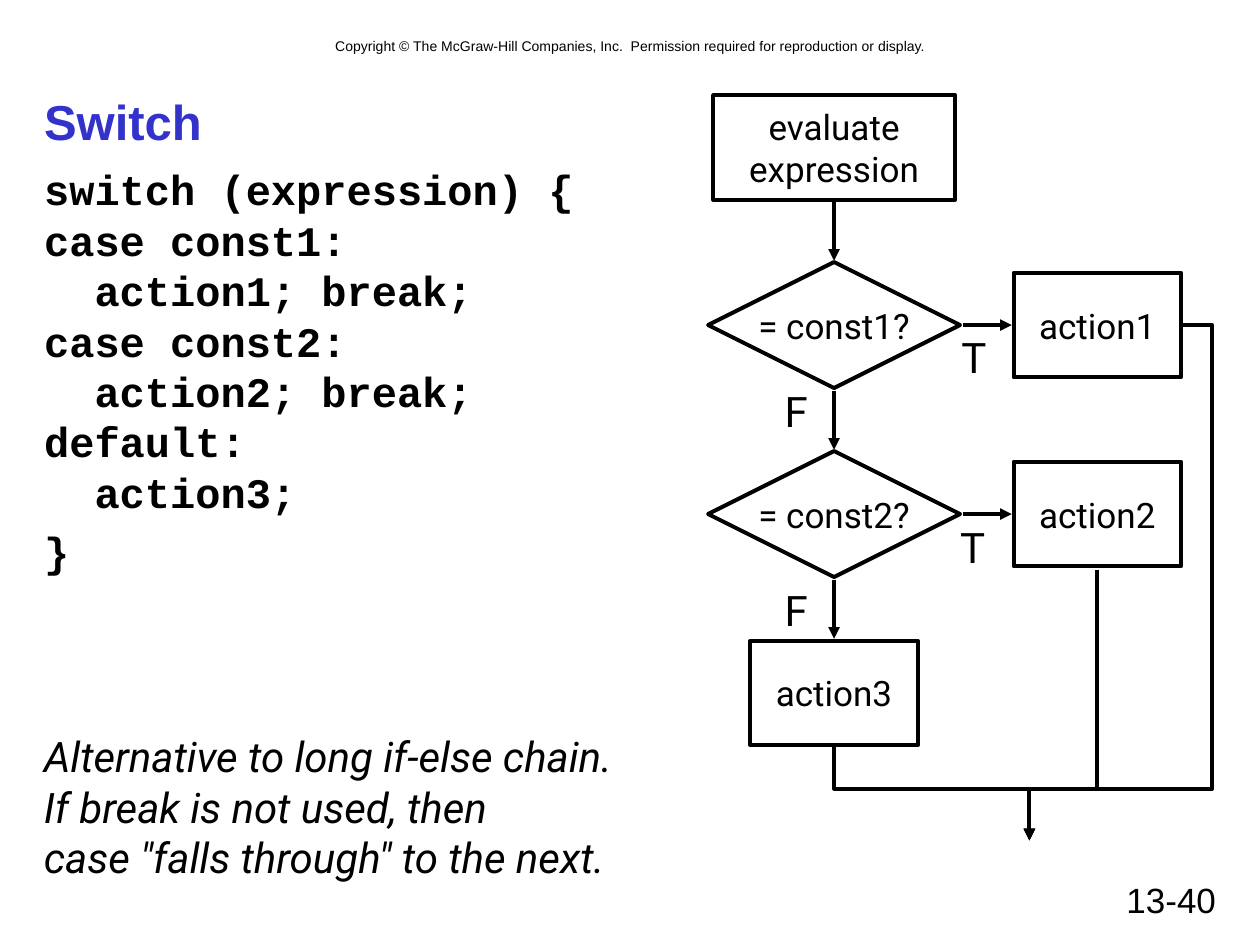
from typing import NamedTuple

from lxml import etree
from pptx import Presentation
from pptx.dml.color import RGBColor
from pptx.enum import shapes, text
from pptx.oxml.ns import qn
from pptx.util import Inches, Pt

BLACK = RGBColor(0, 0, 0)
BLUE = RGBColor(0x33, 0x33, 0xCC)
LINE_WIDTH = Pt(2.25)
RECT = shapes.MSO_SHAPE.RECTANGLE
DIAMOND = shapes.MSO_SHAPE.DIAMOND
LEFT, CENTER, RIGHT = text.PP_ALIGN.LEFT, text.PP_ALIGN.CENTER, text.PP_ALIGN.RIGHT
TOP, MIDDLE = text.MSO_ANCHOR.TOP, text.MSO_ANCHOR.MIDDLE

MAIN_X = 6.62    # centre of the decision column
ACTION_X = 8.71  # centre of the action column
EXIT = (8.17, 6.67)
JOIN_Y = 6.26    # height at which all branches meet
BYPASS_X = 9.62  # branch that runs round action2

CODE = """switch (expression) {
case const1:
  action1; break;
case const2:
  action2; break;
default:
  action3;""".replace("\n", "\v")
REMARK = ("Alternative to long if-else chain.\n"
          "If break is not used, then\vcase \"falls through\" to the next.")


class Node(NamedTuple):
    label: str
    kind: shapes.MSO_SHAPE
    center_x: float
    center_y: float
    width: float
    height: float


class Label(NamedTuple):
    words: str
    left: float
    top: float
    width: float
    height: float
    size: float
    name: str = "Roboto"
    align: text.PP_ALIGN = CENTER
    wrap: bool = False
    italic: bool = False


NODES = [
    Node("evaluate\vexpression", RECT, MAIN_X, 1.17, 1.92, 0.83),
    Node("= const1?", DIAMOND, MAIN_X, 2.58, 2, 1),
    Node("= const2?", DIAMOND, MAIN_X, 4.08, 2, 1),
    Node("action1", RECT, ACTION_X, 2.58, 1.33, 0.83),
    Node("action2", RECT, ACTION_X, 4.08, 1.33, 0.83),
    Node("action3", RECT, MAIN_X, 5.5, 1.33, 0.83),
]
ARROWS = (
    [((MAIN_X, y), (MAIN_X, y + 0.47)) for y in (1.6, 3.1, 4.6)]
    + [((7.64, y), (8.03, y)) for y in (2.58, 4.08)]
)
LABELS = [
    Label("T", 7.53, 2.58, 0.4, 0.5, 24),
    Label("T", 7.52, 4.09, 0.4, 0.5, 24),
    Label("F", 6.12, 4.59, 0.4, 0.5, 24),
    Label("F", 6.12, 3.01, 0.4, 0.5, 24),
    Label(REMARK, 0.25, 5.75, 4.84, 1.3, 24, align=LEFT, italic=True),
    Label("Copyright © The McGraw-Hill Companies, Inc.  Permission required "
          "for reproduction or display.", 0.67, 0.25, 8.67, 0.23, 8, "Arial", wrap=True),
    Label("13-40", 7.17, 6.92, 2.58, 0.42, 20, "Arial", RIGHT, wrap=True),
]


def write(shape, words: str, align, anchor, wrap: bool, color=BLACK, **font) -> None:
    frame = shape.text_frame
    frame.text = words
    frame.auto_size = text.MSO_AUTO_SIZE.NONE
    frame.word_wrap = wrap
    frame.vertical_anchor = anchor
    for para in frame.paragraphs:
        para.alignment = align
        para.space_before = Pt(0)
        para.font.color.rgb = color
        for key, value in font.items():
            setattr(para.font, key, value)


def place(shape, left: float, top: float, width: float, height: float) -> None:
    shape.left, shape.top = Inches(left), Inches(top)
    shape.width, shape.height = Inches(width), Inches(height)


def draw_node(page, node: Node) -> None:
    box = page.shapes.add_shape(
        node.kind, Inches(node.center_x - node.width / 2),
        Inches(node.center_y - node.height / 2), Inches(node.width), Inches(node.height))
    box.shadow.inherit = False
    box.fill.background()
    box.line.color.rgb = BLACK
    box.line.width = LINE_WIDTH
    write(box, node.label, CENTER, MIDDLE, False, size=Pt(20), name="Roboto")


def draw_label(page, label: Label) -> None:
    box = page.shapes.add_textbox(*map(Inches, label[1:5]))
    write(box, label.words, label.align, TOP, label.wrap,
          size=Pt(label.size), name=label.name, italic=label.italic)


def draw_arrow(page, start, end, kind=shapes.MSO_CONNECTOR.STRAIGHT):
    arrow = page.shapes.add_connector(kind, *map(Inches, (*start, *end)))
    arrow.line.color.rgb = BLACK
    arrow.line.width = LINE_WIDTH
    etree.SubElement(arrow.line._get_or_add_ln(), qn("a:tailEnd"), type="triangle")
    etree.SubElement(arrow._element.spPr, qn("a:effectLst"))
    return arrow


def set_bends(arrow, preset: str, *bends: float) -> None:
    """Set where an elbow turns, as fractions of its width and height."""
    geometry = arrow._element.spPr.find(qn("a:prstGeom"))
    geometry.set("prst", preset)
    guides = geometry.get_or_add_avLst()
    for number, bend in enumerate(bends, 1):
        etree.SubElement(guides, qn("a:gd"), name=f"adj{number}",
                         fmla=f"val {round(bend * 100000)}")


def draw_drop(page, start, end) -> None:
    """Draw an elbow that leaves downwards: a sideways elbow given a quarter turn."""
    across, down = end[0] - start[0], end[1] - start[1]
    middle_x, middle_y = (start[0] + end[0]) / 2, (start[1] + end[1]) / 2
    half_width = down / 2 if across < 0 else -down / 2
    half_height = abs(across) / 2
    arrow = draw_arrow(page, (middle_x - half_width, middle_y - half_height),
                       (middle_x + half_width, middle_y + half_height),
                       shapes.MSO_CONNECTOR.ELBOW)
    turn = 90 if across < 0 else 270
    arrow._element.spPr.find(qn("a:xfrm")).set("rot", str(turn * 60000))
    set_bends(arrow, "bentConnector3", (JOIN_Y - start[1]) / down)


def draw_bypass(page, start, end) -> None:
    arrow = draw_arrow(page, start, end, shapes.MSO_CONNECTOR.ELBOW)
    set_bends(arrow, "bentConnector4", (BYPASS_X - start[0]) / (end[0] - start[0]),
              (JOIN_Y - start[1]) / (end[1] - start[1]))


def fill_placeholders(page) -> None:
    title, body = page.shapes.title, page.placeholders[1]
    place(title, 0.25, 0.67, 9.5, 0.58)
    write(title, "Switch", LEFT, MIDDLE, True, BLUE, size=Pt(28), name="Arial", bold=True)
    place(body, 0.25, 1.25, 9.5, 5.42)
    body.text_frame.text = CODE + "\n}"
    for para in body.text_frame.paragraphs:
        properties = para._p.get_or_add_pPr()
        properties.set("marL", "0")
        properties.set("indent", "0")
        etree.SubElement(properties, qn("a:buNone"))
    write(body, CODE + "\n}", LEFT, TOP, True, size=Pt(24), name="Courier New", bold=True)
    for para in body.text_frame.paragraphs:
        properties = para._p.get_or_add_pPr()
        if properties.find(qn("a:buNone")) is None:
            properties.set("marL", "0")
            properties.set("indent", "0")
            properties.find(qn("a:defRPr")).addprevious(
                etree.Element(qn("a:buNone")))
    body.text_frame.paragraphs[-1].space_before = Pt(4.8)


def main() -> None:
    deck = Presentation()
    deck.slide_width, deck.slide_height = Inches(10), Inches(7.5)
    page = deck.slides.add_slide(deck.slide_layouts[1])
    fill_placeholders(page)
    for node in NODES:
        draw_node(page, node)
    for start, end in ARROWS:
        draw_arrow(page, start, end)
    draw_drop(page, (MAIN_X, 5.93), EXIT)
    draw_drop(page, (ACTION_X, 4.52), EXIT)
    draw_bypass(page, (9.39, 2.58), EXIT)
    for label in LABELS:
        draw_label(page, label)
    deck.save("out.pptx")


if __name__ == "__main__":
    main()
